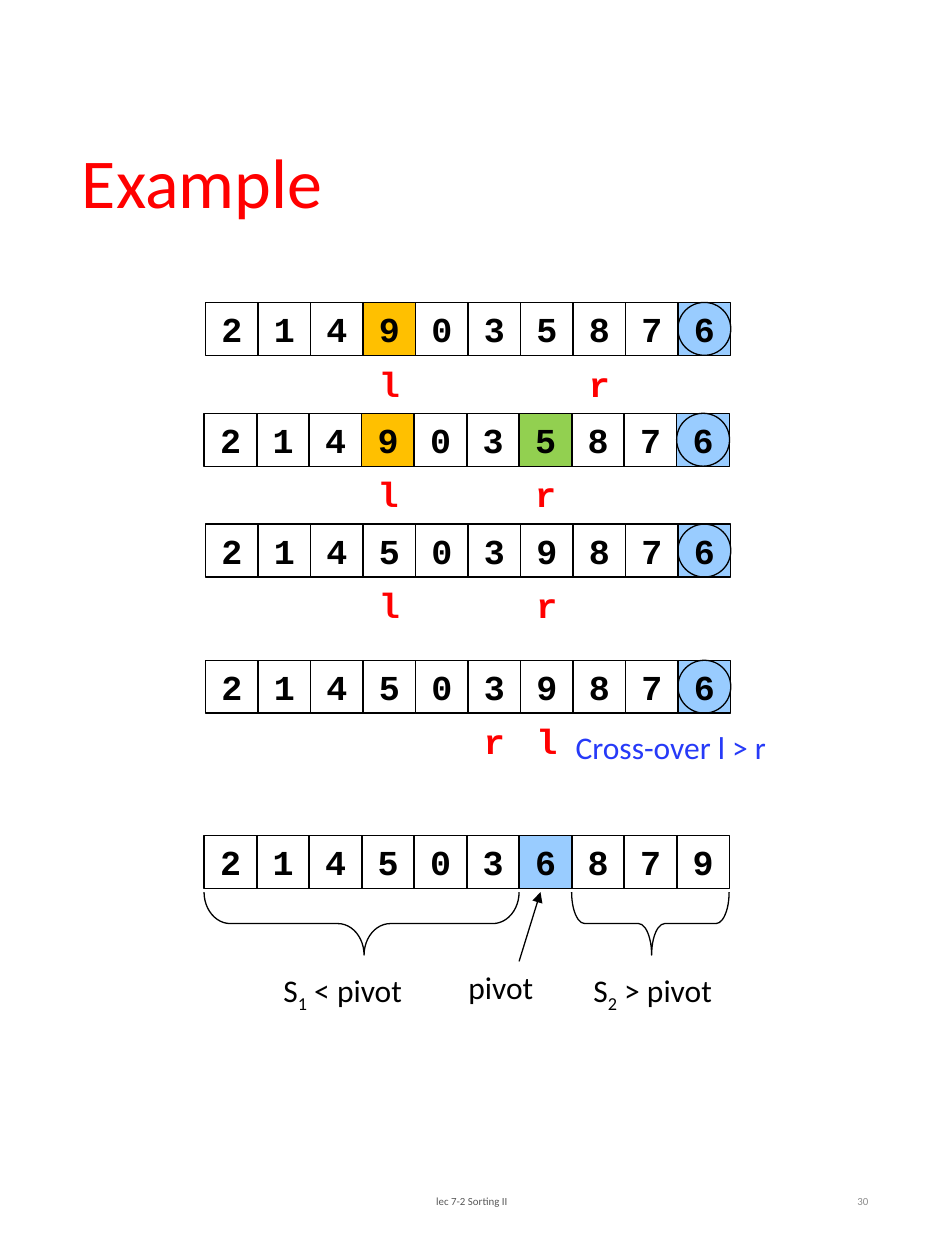
from pptx import Presentation
from pptx import util as u
from pptx.dml.color import RGBColor
from pptx.enum import shapes, text
from pptx.oxml import parse_xml
from pptx.oxml.ns import nsdecls

BLACK = RGBColor(0x00, 0x00, 0x00)
RED = RGBColor(0xFF, 0x00, 0x00)
BLUE = RGBColor(0x26, 0x3A, 0xF8)
SKY = RGBColor(0x99, 0xCC, 0xFF)
AMBER = RGBColor(0xFF, 0xC0, 0x00)
GREEN = RGBColor(0x92, 0xD0, 0x50)
DARK_GREY = RGBColor(0x59, 0x59, 0x59)
LIGHT_GREY = RGBColor(0x8C, 0x8C, 0x8C)

LEFT, CENTER, RIGHT = text.PP_ALIGN.LEFT, text.PP_ALIGN.CENTER, text.PP_ALIGN.RIGHT
MIDDLE, TOP = text.MSO_ANCHOR.MIDDLE, text.MSO_ANCHOR.TOP

CELL = 0.42
PITCH = 5 / 12
MARKER_DROP = 0.43

STEPS = [
    {"left": 1.63, "top": 2.4, "digits": "2149035876",
     "fills": {3: AMBER, 9: SKY}, "circle": 9, "markers": {"l": 3, "r": 7}},
    {"left": 1.62, "top": 3.28, "digits": "2149035876",
     "fills": {3: AMBER, 6: GREEN, 9: SKY}, "circle": 9, "markers": {"l": 3, "r": 6}},
    {"left": 1.63, "top": 4.16, "digits": "2145039876",
     "fills": {9: SKY}, "circle": 9, "markers": {"l": 3, "r": 6}},
    {"left": 1.63, "top": 5.24, "digits": "2145039876",
     "fills": {9: SKY}, "circle": 9, "markers": {"l": 6, "r": 5}},
    {"left": 1.62, "top": 6.63, "digits": "2145036879",
     "fills": {6: SKY}, "circle": None, "markers": {}},
]

BRACE_TOP, BRACE_DEPTH = 7.08, 0.5
BRACES = [(0, 6, 0.417), (7, 3, 0.208)]

CODE = {"name": "Courier New", "size": u.Pt(20), "bold": True}
BODY = {"name": "Calibri", "size": u.Pt(18)}
SMALL = {"name": "Calibri", "size": u.Pt(6.2)}

LABELS = [
    ((2.05, 7.68, 1.34, 0.4), ["S", "1", " < pivot"], BODY, BLACK, CENTER, MIDDLE, False),
    ((3.57, 7.63, 0.81, 0.4), ["pivot"], BODY, BLACK, CENTER, MIDDLE, False),
    ((4.5, 7.68, 1.36, 0.4), ["S", "2", " > pivot"], BODY, BLACK, CENTER, MIDDLE, False),
    ((4.47, 5.73, 2.25, 0.4), ["Cross-over l > r"], BODY, BLUE, LEFT, TOP, True),
    ((2.48, 9.27, 2.53, 0.53), ["lec 7-2 Sorting II"], SMALL, DARK_GREY, CENTER, MIDDLE, True),
    ((5.3, 9.27, 1.69, 0.53), ["30"], SMALL, LIGHT_GREY, RIGHT, MIDDLE, True),
]


def write(shape, pieces, style, color, align=CENTER, anchor=MIDDLE, wrap=False):
    frame = shape.text_frame
    frame.word_wrap = wrap
    frame.vertical_anchor = anchor
    para = frame.paragraphs[0]
    para.alignment = align
    for index, piece in enumerate(pieces):
        span = para.add_run()
        span.text = piece
        for name, value in style.items():
            setattr(span.font, name, value)
        span.font.color.rgb = color
        if index == 1:
            span.font._element.set("baseline", "-25000")


def add_box(page, place):
    return page.shapes.add_textbox(*map(u.Inches, place))


def add_outline(page, kind, place, fill=None):
    shape = page.shapes.add_shape(kind, *map(u.Inches, place))
    shape.shadow.inherit = False
    if fill is None:
        shape.fill.background()
    else:
        shape.fill.solid()
        shape.fill.fore_color.rgb = fill
    shape.line.color.rgb = BLACK
    shape.line.width = u.Pt(0.75)
    return shape


def add_step(page, step):
    def place(index, drop=0):
        return step["left"] + index * PITCH, step["top"] + drop, CELL, CELL

    for index, digit in enumerate(step["digits"]):
        cell = add_outline(page, shapes.MSO_SHAPE.RECTANGLE, place(index),
                           step["fills"].get(index))
        write(cell, [digit], CODE, BLACK)
    if step["circle"] is not None:
        add_outline(page, shapes.MSO_SHAPE.OVAL, place(step["circle"]))
    for letter, index in step["markers"].items():
        write(add_box(page, place(index, MARKER_DROP)), [letter], CODE, RED)


def add_brace(page, start, count, curve):
    width = count * PITCH
    center_x = STEPS[-1]["left"] + start * PITCH + width / 2
    center_y = BRACE_TOP + BRACE_DEPTH / 2
    brace = add_outline(page, shapes.MSO_SHAPE.LEFT_BRACE,
                        (center_x - BRACE_DEPTH / 2, center_y - width / 2, BRACE_DEPTH, width))
    brace.rotation = 270
    brace.adjustments[0] = curve
    brace.adjustments[1] = 0.508


def add_arrow(page, start, end):
    arrow = page.shapes.add_connector(shapes.MSO_CONNECTOR.STRAIGHT,
                                      *map(u.Inches, start + end))
    arrow.line.color.rgb = BLACK
    arrow.line.width = u.Pt(0.75)
    arrow.line._get_or_add_ln().append(
        parse_xml(f'<a:tailEnd {nsdecls("a")} type="triangle"/>'))
    arrow._element.spPr.append(parse_xml(f'<a:effectLst {nsdecls("a")}/>'))


def main():
    deck = Presentation()
    deck.slide_width, deck.slide_height = u.Inches(7.5), u.Inches(10)
    page = deck.slides.add_slide(deck.slide_layouts[5])

    title = page.shapes.title
    title.left, title.top, title.width, title.height = map(u.Inches, (0.55, 0.51, 6.47, 1.93))
    write(title, ["Example"], {"name": "Calibri", "size": u.Pt(40)}, RED, LEFT, MIDDLE, True)
    title.text_frame.paragraphs[0].line_spacing = 0.9

    for step in STEPS:
        add_step(page, step)
    for brace in BRACES:
        add_brace(page, *brace)
    add_arrow(page, (4.12, 7.63), (4.29, 7.08))
    for place, *content in LABELS:
        write(add_box(page, place), *content)

    deck.save("out.pptx")


if __name__ == "__main__":
    main()
